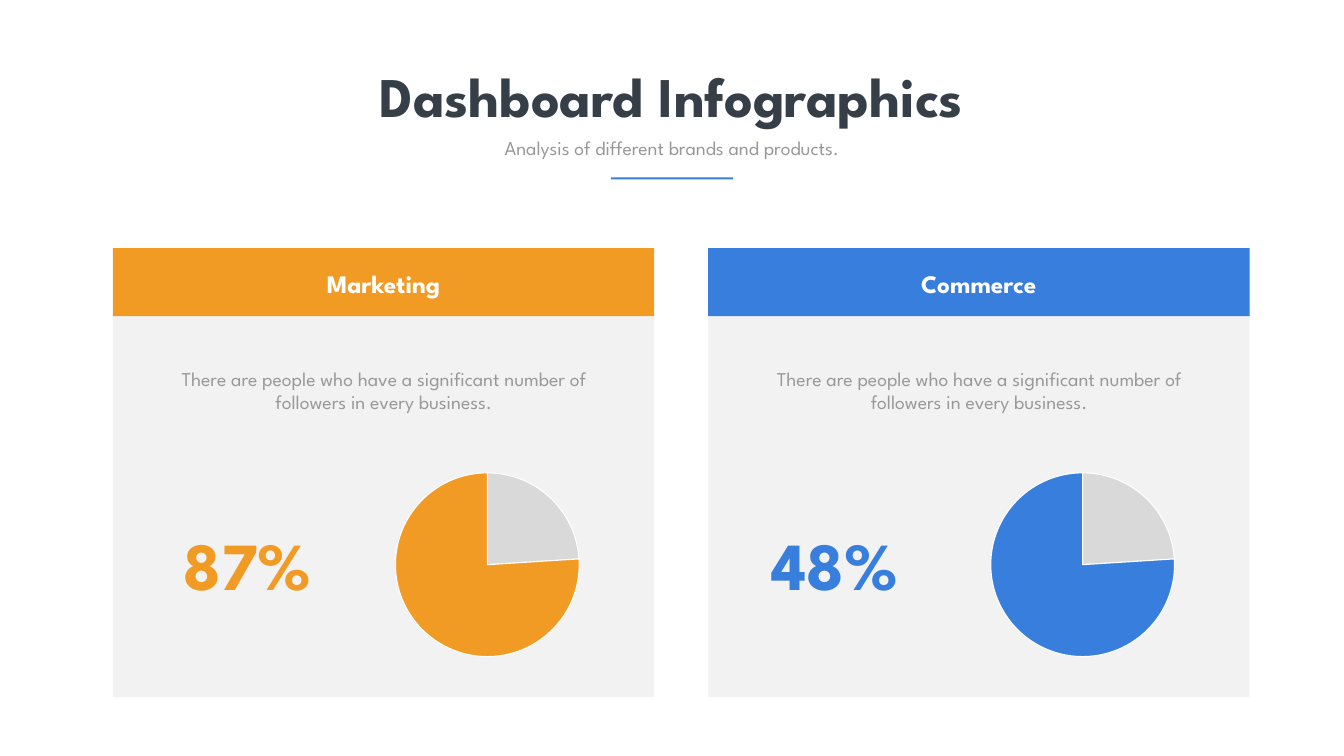
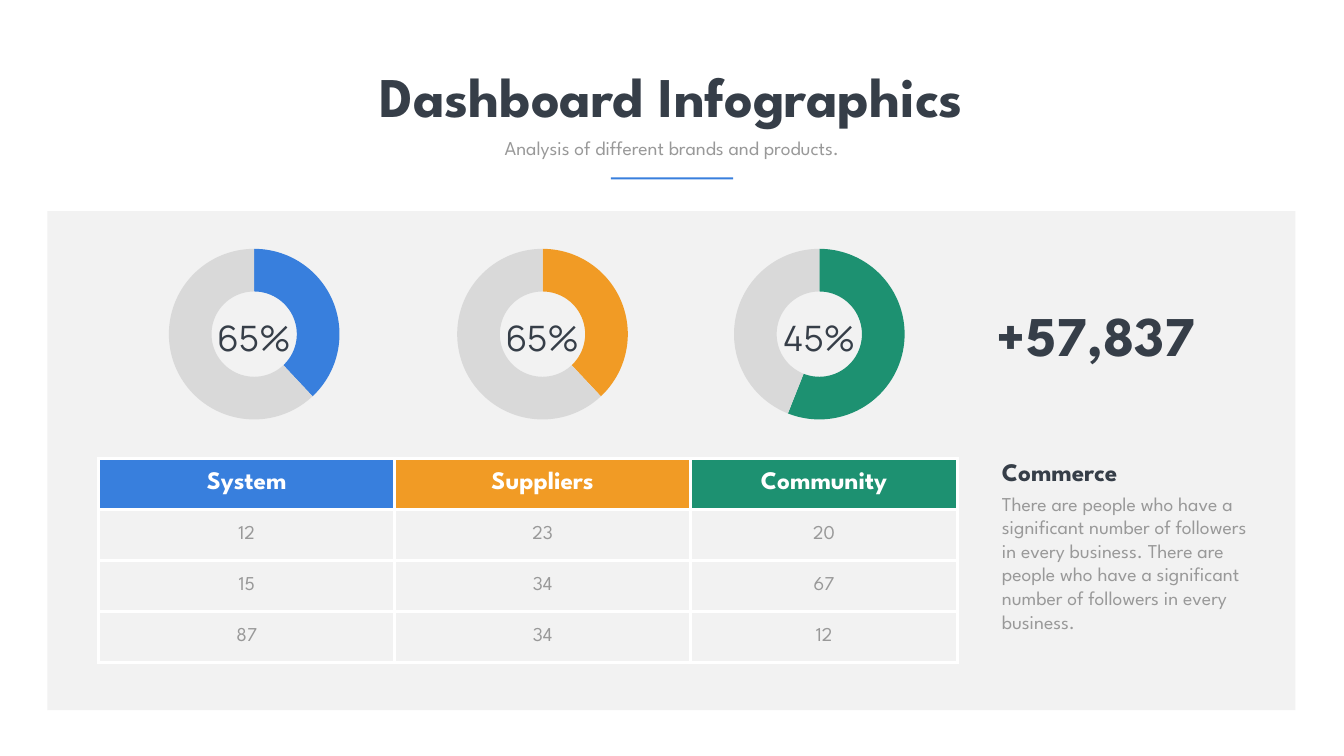
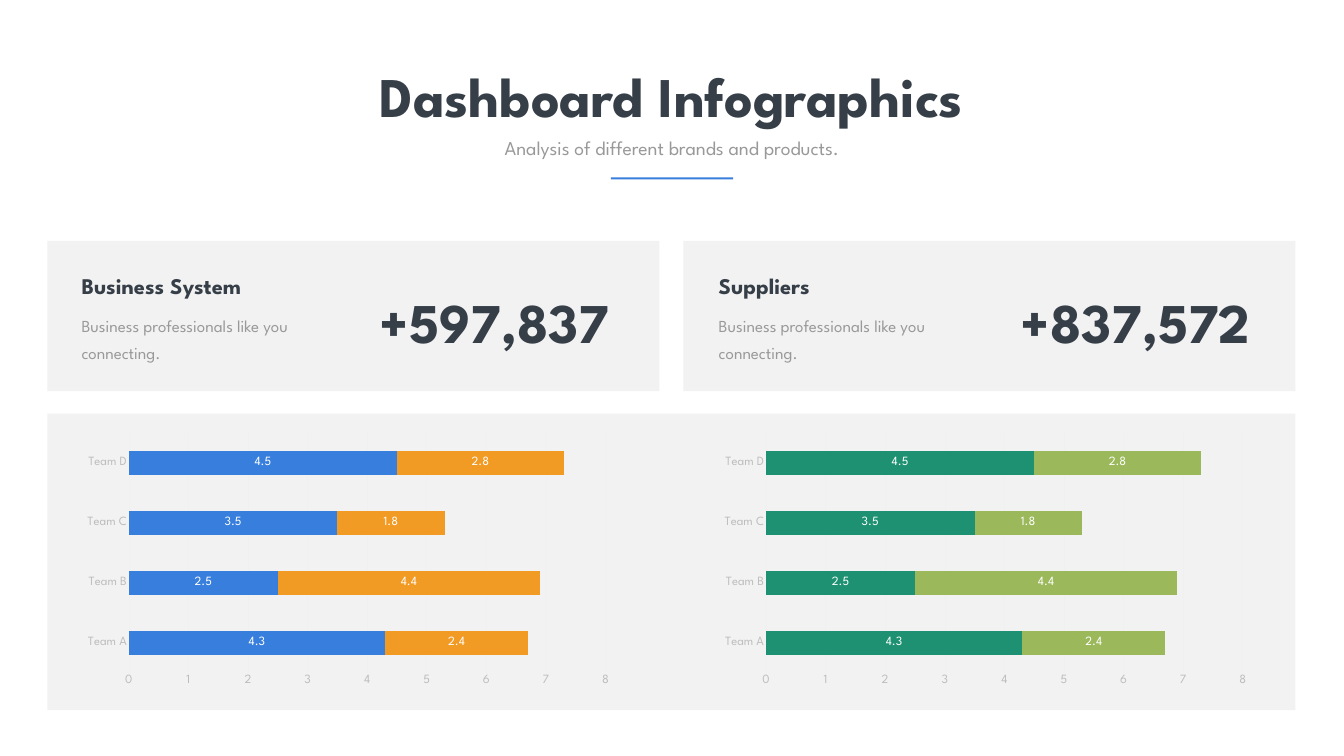
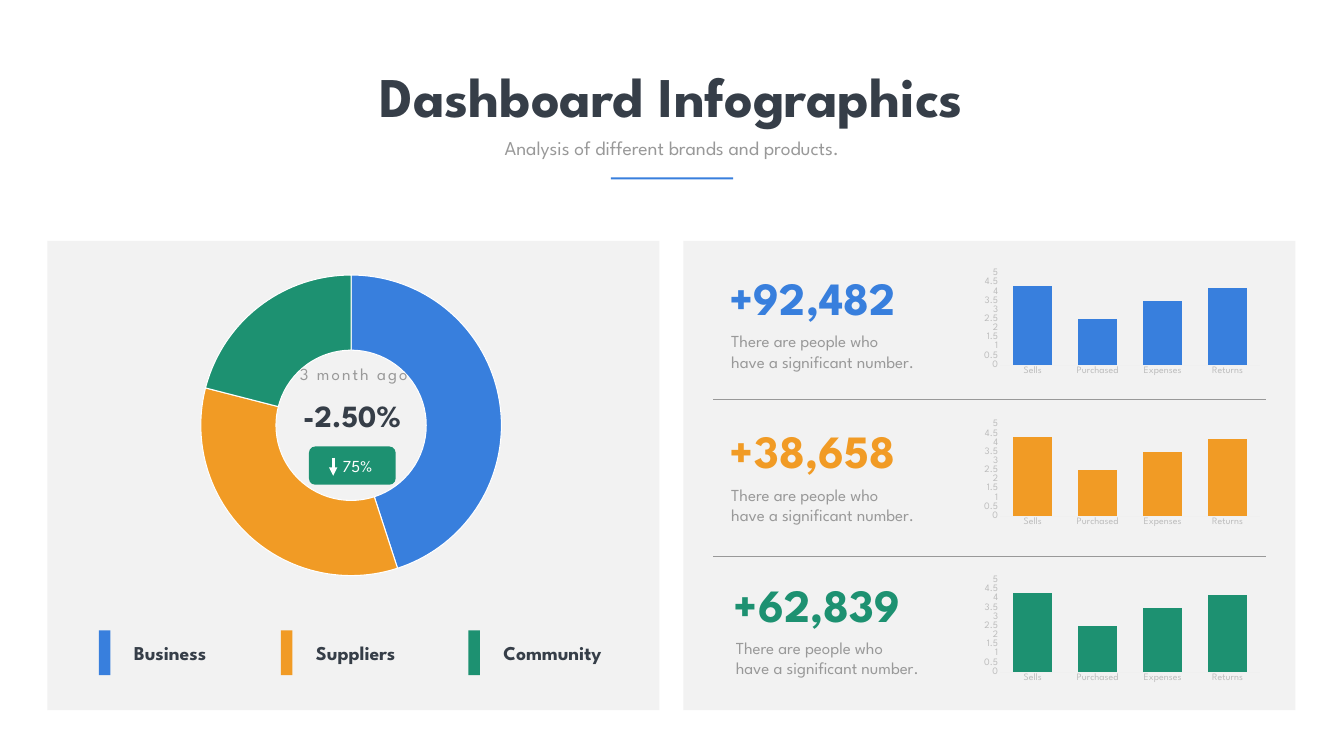
from dataclasses import dataclass

from lxml.etree import SubElement
from pptx import Presentation
from pptx.chart.data import CategoryChartData
from pptx.dml.color import RGBColor
from pptx.enum.chart import XL_CHART_TYPE as ChartType
from pptx.enum.chart import XL_LABEL_POSITION as LabelPosition
from pptx.enum.chart import XL_TICK_MARK as TickMark
from pptx.enum.shapes import MSO_CONNECTOR as Connector
from pptx.enum.shapes import MSO_SHAPE as Shape
from pptx.enum.text import MSO_ANCHOR as Anchor
from pptx.enum.text import MSO_AUTO_SIZE as AutoSize
from pptx.enum.text import PP_ALIGN as Align
from pptx.oxml.ns import qn
from pptx.util import Cm, Pt


@dataclass(frozen=True)
class Theme:
    font: str = "League Spartan"
    ring_font: str = "Manrope"
    blue: str = "387FDD"
    orange: str = "F19B25"
    green: str = "1D9171"
    lime: str = "9BB95B"
    dark: str = "363E48"
    grey: str = "999999"
    axis_text: str = "BDBDBD"
    axis_line: str = "F0F0F0"
    panel: str = "F2F2F2"
    rest: str = "D9D9D9"
    white: str = "FFFFFF"
    percent: int = 96
    title: int = 80
    figure: int = 66
    ring: int = 50
    change: int = 44
    heading: int = 36
    subheading: int = 32
    body: int = 28
    small: int = 24
    bar_label: int = 18
    column_label: int = 14


theme = Theme()


def color(code):
    return RGBColor.from_string(code)


def style_font(font, size, code, bold=False, name=theme.font):
    font.name = name
    font.size = Pt(size)
    font.color.rgb = color(code)
    font.bold = bold


def fill_solid(item, code):
    item.fill.solid()
    item.fill.fore_color.rgb = color(code)


def add_block(slide, left, top, width, height, code, kind=Shape.RECTANGLE):
    shape = slide.shapes.add_shape(kind, Cm(left), Cm(top), Cm(width), Cm(height))
    shape.shadow.inherit = False
    fill_solid(shape, code)
    shape.line.fill.background()


def add_text(slide, left, top, width, height, text, size, code, bold=False,
             align=Align.LEFT, wrap=True, name=theme.font, line_spacing=None, tracking=None):
    box = slide.shapes.add_textbox(Cm(left), Cm(top), Cm(width), Cm(height))
    frame = box.text_frame
    frame.word_wrap = wrap
    frame.auto_size = AutoSize.SHAPE_TO_FIT_TEXT
    frame.text = text
    for paragraph in frame.paragraphs:
        paragraph.alignment = align
        style_font(paragraph.font, size, code, bold, name)
        if line_spacing:
            paragraph.line_spacing = Pt(line_spacing)
        if tracking:
            for run in paragraph.runs:
                run._r.get_or_add_rPr().set("spc", str(tracking * 100))


def add_line(slide, start, end, code, width, arrow=False):
    points = [Cm(value) for value in (*start, *end)]
    connector = slide.shapes.add_connector(Connector.STRAIGHT, *points)
    connector.line.color.rgb = color(code)
    connector.line.width = Pt(width)
    properties = connector._element.spPr
    if arrow:
        SubElement(properties.find(qn("a:ln")), qn("a:tailEnd"), type="triangle")
    SubElement(properties, qn("a:effectLst"))


def add_chart(slide, kind, left, top, width, height, categories, series_values, size):
    data = CategoryChartData()
    data.categories = categories
    for number, values in enumerate(series_values, 1):
        data.add_series(f"Series {number}", values)
    frame = slide.shapes.add_chart(kind, Cm(left), Cm(top), Cm(width), Cm(height), data)
    chart = frame.chart
    chart.has_legend = False
    chart.has_title = False
    style_font(chart.font, size, theme.grey)
    return chart


def add_round_chart(slide, kind, left, top, width, height, values, codes, outlined=True):
    categories = [str(number) for number in range(1, len(values) + 1)]
    chart = add_chart(slide, kind, left, top, width, height, categories, [values], 10)
    plot = chart.plots[0]
    for index, code in enumerate(codes):
        point_format = plot.series[0].points[index].format
        fill_solid(point_format, code)
        if outlined:
            point_format.line.color.rgb = color(theme.white)
            point_format.line.width = Pt(1.5)
        else:
            point_format.line.fill.background()
    if kind == ChartType.DOUGHNUT:
        plot._element.find(qn("c:holeSize")).set("val", "75")


def add_bar_chart(slide, kind, left, top, width, height, categories, series_values, codes,
                  size, maximum, unit, gap, overlap, gridlines=False):
    chart = add_chart(slide, kind, left, top, width, height, categories, series_values, size)
    plot = chart.plots[0]
    plot.vary_by_categories = False
    plot.gap_width = gap
    plot.overlap = overlap
    for series, code in zip(plot.series, codes):
        fill_solid(series.format, code)
    for axis in (chart.category_axis, chart.value_axis):
        axis.major_tick_mark = axis.minor_tick_mark = TickMark.NONE
        style_font(axis.tick_labels.font, size, theme.axis_text)
    value_axis = chart.value_axis
    value_axis.minimum_scale = 0
    value_axis.maximum_scale = maximum
    value_axis.major_unit = unit
    value_axis.format.line.fill.background()
    value_axis.has_major_gridlines = gridlines
    lines = [chart.category_axis.format.line]
    if gridlines:
        lines.append(value_axis.major_gridlines.format.line)
    for line in lines:
        line.color.rgb = color(theme.axis_line)
        line.width = Pt(0.75)
    return chart


def label_bars(chart):
    for series in chart.plots[0].series:
        labels = series.data_labels
        labels.show_value = True
        labels.position = LabelPosition.CENTER
        style_font(labels.font, theme.bar_label, theme.white)


def border_cell(cell, code, width):
    properties = cell._tc.get_or_add_tcPr()
    for index, side in enumerate(("lnL", "lnR", "lnT", "lnB")):
        line = properties.makeelement(qn(f"a:{side}"), {"w": str(Pt(width))})
        solid = SubElement(line, qn("a:solidFill"))
        SubElement(solid, qn("a:srgbClr"), val=code)
        properties.insert(index, line)


def add_table(slide, left, top, widths, row_height, rows, header_codes):
    frame = slide.shapes.add_table(len(rows), len(widths), Cm(left), Cm(top),
                                   Cm(sum(widths)), Cm(row_height * len(rows)))
    table = frame.table
    table.horz_banding = False
    for column, width in zip(table.columns, widths):
        column.width = Cm(width)
    for row_index, row in enumerate(rows):
        header = row_index == 0
        for column_index, text in enumerate(row):
            cell = table.cell(row_index, column_index)
            cell.text = text
            cell.vertical_anchor = Anchor.MIDDLE
            fill_solid(cell, header_codes[column_index] if header else theme.panel)
            border_cell(cell, theme.white, 4.5)
            paragraph = cell.text_frame.paragraphs[0]
            paragraph.alignment = Align.CENTER
            style_font(paragraph.font, theme.heading if header else theme.body,
                       theme.white if header else theme.grey, header)


def add_titled_slide(presentation):
    slide = presentation.slides.add_slide(presentation.slide_layouts[6])
    add_text(slide, 16.99, 2.97, 33.71, 3.68, "Dashboard Infographics", theme.title,
             theme.dark, bold=True, align=Align.CENTER, wrap=False)
    add_text(slide, 21.72, 6.73, 24.28, 1.45, "Analysis of different brands and products.",
             theme.body, theme.grey, align=Align.CENTER)
    add_block(slide, 30.78, 8.94, 6.17, 0.1, theme.blue)
    return slide


def build_share_cards(presentation):
    slide = add_titled_slide(presentation)
    cards = (
        (5.69, "Marketing", "87%", 7.44, theme.orange),
        (35.69, "Commerce", "48%", 37.03, theme.blue),
    )
    for left, name, percent, percent_left, code in cards:
        add_block(slide, left, 15.93, 27.28, 19.2, theme.panel)
        add_block(slide, left, 12.5, 27.28, 3.43, code)
        add_text(slide, left + 6.6, 13.38, 14.07, 1.8, name, theme.heading, theme.white,
                 bold=True, align=Align.CENTER)
        add_text(slide, left + 2.73, 18.36, 21.84, 2.64,
                 "There are people who have a significant number of followers in every business.",
                 theme.body, theme.grey, align=Align.CENTER)
        add_round_chart(slide, ChartType.PIE, left + 11.4, 23.48, 14.94, 9.96,
                        (24, 76), (theme.rest, code))
        add_text(slide, percent_left, 26.26, 10.08, 4.37, percent, theme.percent, code,
                 bold=True, align=Align.CENTER)


def build_ring_table(presentation):
    slide = add_titled_slide(presentation)
    add_block(slide, 2.39, 10.64, 62.89, 25.15, theme.panel)
    rows = (
        ("System", "Suppliers", "Community"),
        ("12", "23", "20"),
        ("15", "34", "67"),
        ("87", "34", "12"),
    )
    add_table(slide, 4.98, 23.09, (14.91, 14.91, 13.46), 2.57, rows,
              (theme.blue, theme.orange, theme.green))
    rings = (
        (5.84, (38, 62), "65%", theme.blue),
        (20.37, (38, 62), "65%", theme.orange),
        (34.32, (56, 44), "45%", theme.green),
    )
    for left, values, percent, code in rings:
        add_round_chart(slide, ChartType.DOUGHNUT, left, 12.19, 13.94, 9.3, values,
                        (code, theme.rest), outlined=False)
        add_text(slide, left + 4.32, 15.85, 5.28, 2.06, percent, theme.ring, theme.dark,
                 align=Align.CENTER, name=theme.ring_font)
    add_text(slide, 50.24, 22.86, 14.07, 1.8, "Commerce", theme.heading, theme.dark, bold=True)
    add_text(slide, 50.24, 24.66, 13.34, 9.83,
             "There are people who have a significant number of followers in every business. "
             "There are people who have a significant number of followers in every business.",
             theme.body, theme.grey)
    add_text(slide, 49.99, 15.01, 13.34, 3.68, "+57,837", theme.title, theme.dark, bold=True)


def build_team_bars(presentation):
    slide = add_titled_slide(presentation)
    add_block(slide, 2.39, 20.85, 62.89, 14.94, theme.panel)
    teams = ("Team A", "Team B", "Team C", "Team D")
    team_values = ((4.3, 2.5, 3.5, 4.5), (2.4, 4.4, 1.8, 2.8))
    halves = (
        (2.39, 3.86, "Business System", "+597,837", 18.64, (theme.blue, theme.orange)),
        (34.44, 35.97, "Suppliers", "+837,572", 50.93, (theme.green, theme.lime)),
    )
    for card_left, left, name, figure, figure_left, codes in halves:
        add_block(slide, card_left, 12.14, 30.84, 7.57, theme.panel)
        add_text(slide, left, 13.61, 9.22, 1.63, name, theme.subheading, theme.dark, bold=True)
        add_text(slide, left, 15.42, 11.65, 3, "Business professionals like you connecting.",
                 theme.small, theme.grey, line_spacing=38.6)
        add_text(slide, figure_left, 14.38, 12.57, 3.68, figure, theme.title, theme.dark,
                 bold=True, align=Align.CENTER, wrap=False)
        chart = add_bar_chart(slide, ChartType.BAR_STACKED, left, 21.54, 27.38, 13.31, teams,
                              team_values, codes, theme.bar_label, maximum=8, unit=1,
                              gap=150, overlap=100, gridlines=True)
        label_bars(chart)


def add_change_ring(slide):
    codes = (theme.blue, theme.orange, theme.green)
    add_round_chart(slide, ChartType.DOUGHNUT, 9.25, 13.51, 16.89, 15.85, (45, 34, 21), codes)
    add_text(slide, 14, 19.89, 7.49, 2.13, "-2.50%", theme.change, theme.dark, bold=True,
             align=Align.CENTER)
    add_text(slide, 13.59, 18.21, 8.48, 1.27, "3 month ago", theme.small, theme.grey,
             align=Align.CENTER, tracking=3)
    add_block(slide, 15.57, 22.5, 4.37, 1.93, theme.green, Shape.ROUNDED_RECTANGLE)
    add_text(slide, 17.02, 22.83, 2.26, 1.27, "75%", theme.small, theme.white)
    add_line(slide, (16.79, 23.06), (16.79, 23.98), theme.white, 4, arrow=True)
    legend = zip((4.98, 14.15, 23.6), ("Business", "Suppliers", "Community"), codes)
    for left, name, code in legend:
        add_block(slide, left, 31.77, 0.58, 2.26, code)
        add_text(slide, left + 1.52, 32.2, 6.22, 1.45, name, theme.body, theme.dark, bold=True)


def add_figure_rows(slide):
    columns = ("Sells", "Purchased", "Expenses", "Returns")
    figures = (
        (36.37, 13.44, "+92,482", theme.blue),
        (36.37, 21.06, "+38,658", theme.orange),
        (36.6, 28.91, "+62,839", theme.green),
    )
    for index, (left, chart_top, figure, code) in enumerate(figures):
        top = 13.44 + 7.73 * index
        add_text(slide, left, top, 9.17, 3.07, figure, theme.figure, code, bold=True,
                 align=Align.CENTER, wrap=False)
        add_text(slide, left + 0.23, top + 3.12, 12.01, 2.31,
                 "There are people who\nhave a significant number.", theme.small, theme.grey)
        add_bar_chart(slide, ChartType.COLUMN_CLUSTERED, 49.3, chart_top, 14.5, 5.61, columns,
                      [(4.3, 2.5, 3.5, 4.2)], [code], theme.column_label, maximum=5, unit=0.5,
                      gap=65, overlap=-42)
    for top in (20.14, 28.04):
        add_line(slide, (35.94, top), (63.8, top), theme.grey, 0.5)


def build_change_overview(presentation):
    slide = add_titled_slide(presentation)
    for left in (2.39, 34.44):
        add_block(slide, left, 12.14, 30.84, 23.65, theme.panel)
    add_change_ring(slide)
    add_figure_rows(slide)


def main():
    presentation = Presentation()
    presentation.slide_width = Cm(67.73)
    presentation.slide_height = Cm(38.1)
    build_share_cards(presentation)
    build_ring_table(presentation)
    build_team_bars(presentation)
    build_change_overview(presentation)
    presentation.save("out.pptx")


if __name__ == "__main__":
    main()
